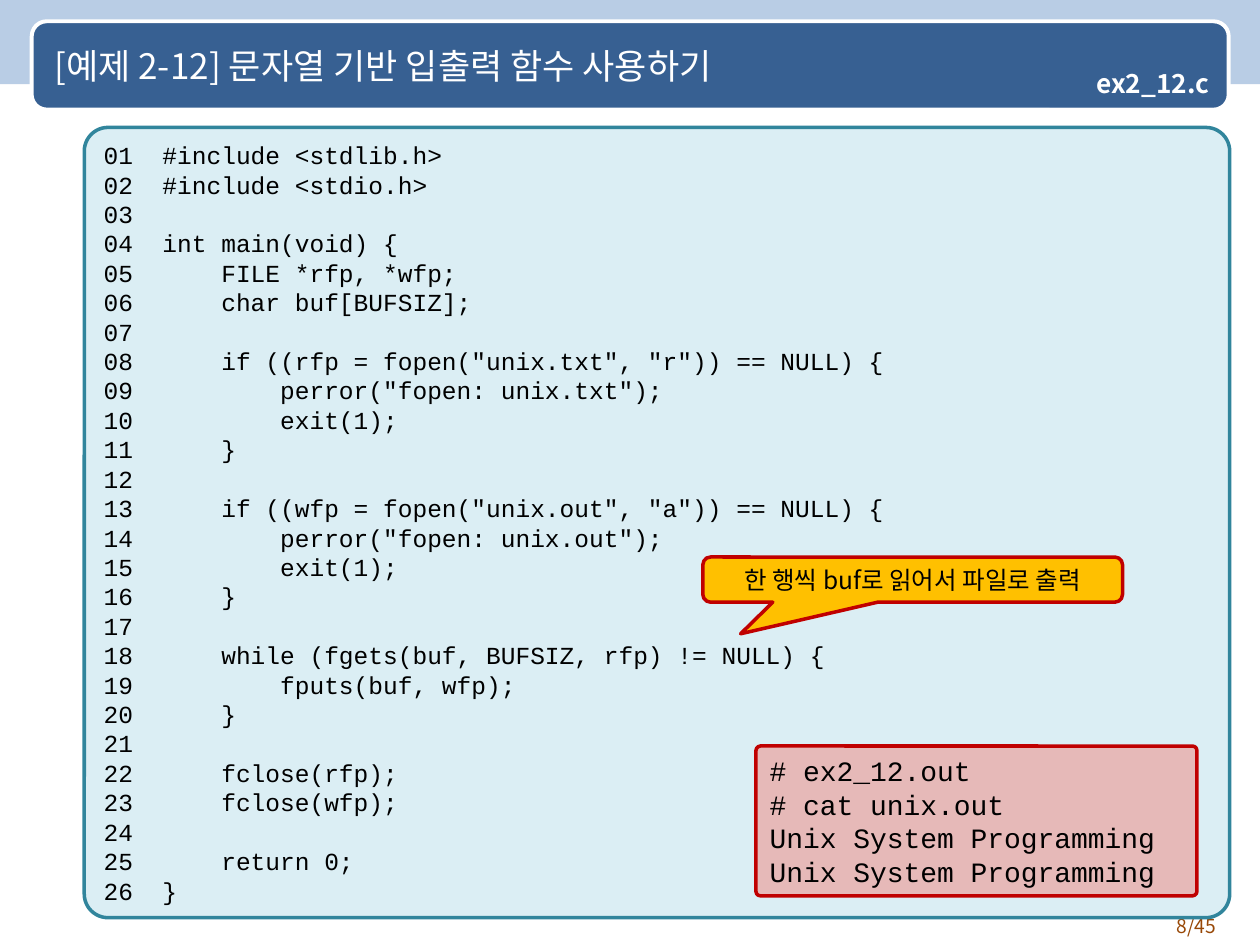
import pptx
import pptx.util
import pptx.dml.color
import pptx.enum.shapes
import pptx.enum.text
import pptx.oxml.ns
import lxml.etree

Cm, Pt = pptx.util.Cm, pptx.util.Pt
RGB = pptx.dml.color.RGBColor
KIND = pptx.enum.shapes.MSO_SHAPE
ALIGN = pptx.enum.text.PP_ALIGN
ANCHOR = pptx.enum.text.MSO_ANCHOR
qn = pptx.oxml.ns.qn

SKY = RGB(0xB9, 0xCD, 0xE5)
NAVY = RGB(0x37, 0x60, 0x92)
WHITE = RGB(0xFF, 0xFF, 0xFF)
BLACK = RGB(0, 0, 0)
BROWN = RGB(0x98, 0x48, 0x07)
ICE = RGB(0xDB, 0xEE, 0xF4)
TEAL = RGB(0x31, 0x85, 0x9C)
PINK = RGB(0xE6, 0xB9, 0xB8)
RED = RGB(0xC0, 0, 0)
GOLD = RGB(0xFF, 0xC0, 0)

SANS, MONO = "Noto Sans CJK KR", "Courier New"

CODE = """#include <stdlib.h>
#include <stdio.h>

int main(void) {
    FILE *rfp, *wfp;
    char buf[BUFSIZ];

    if ((rfp = fopen("unix.txt", "r")) == NULL) {
        perror("fopen: unix.txt");
        exit(1);
    }

    if ((wfp = fopen("unix.out", "a")) == NULL) {
        perror("fopen: unix.out");
        exit(1);
    }

    while (fgets(buf, BUFSIZ, rfp) != NULL) {
        fputs(buf, wfp);
    }

    fclose(rfp);
    fclose(wfp);

    return 0;
}"""

OUTPUT = ["# ex2_12.out", "# cat unix.out"] + ["Unix System Programming"] * 2


class Deck:
    def __init__(self):
        self.prs = pptx.Presentation()
        self.prs.slide_width, self.prs.slide_height = Cm(25.4), Cm(19.05)
        self.slide = self.prs.slides.add_slide(self.prs.slide_layouts[5])

    def shape(self, kind, box, fill, line=None, width=2, adj=()):
        item = self.slide.shapes.add_shape(kind, *map(Cm, box))
        item.shadow.inherit = False
        item.fill.solid()
        item.fill.fore_color.rgb = fill
        if line is None:
            item.line.fill.background()
        else:
            item.line.color.rgb = line
            item.line.width = Pt(width)
        for i, value in enumerate(adj):
            item.adjustments[i] = value
        return item

    def text(self, item, lines, size, color=BLACK, face=SANS,
             align=ALIGN.LEFT, anchor=ANCHOR.MIDDLE):
        frame = item.text_frame
        frame.word_wrap = True
        frame.auto_size = pptx.enum.text.MSO_AUTO_SIZE.NONE
        frame.vertical_anchor = anchor
        frame.text = "\n".join(lines)
        for para in frame.paragraphs:
            para.alignment = align
            para.font.size = Pt(size)
            para.font.name = face
            para.font.color.rgb = color
            # East Asian glyphs take the same face
            base = para._p.pPr.find(qn("a:defRPr"))
            lxml.etree.SubElement(base, qn("a:ea"), typeface=face)
        return frame

    def title(self, box, text):
        item = self.slide.shapes.title
        item.left, item.top, item.width, item.height = map(Cm, box)
        self.slide.shapes._spTree.append(item._element)  # above the bar
        self.text(item, [text], 20, WHITE)

    def label(self, box, text, size, color, align):
        item = self.slide.shapes.add_textbox(*map(Cm, box))
        self.text(item, [text], size, color, align=align, anchor=ANCHOR.TOP)

    def save(self):
        self.prs.save("out.pptx")


def main():
    deck = Deck()

    # Header and page number
    deck.shape(KIND.RECTANGLE, (-0.03, 0, 25.45, 1.7), SKY)
    deck.shape(KIND.ROUNDED_RECTANGLE, (0.64, 0.43, 24.13, 1.78),
               NAVY, WHITE, 2.25, [0.17])
    deck.label((22.66, 18.31, 2.11, 0.74), "8/45", 11, BROWN, ALIGN.RIGHT)
    deck.title((0.84, 0.48, 23.5, 1.7),
               "[예제 2-12] 문자열 기반 입출력 함수 사용하기")

    # Numbered code listing
    panel = deck.shape(KIND.ROUNDED_RECTANGLE, (1.7, 2.57, 23.09, 15.93),
                       ICE, TEAL, adj=[0.03])
    rows = [f"{n:02}  {row}" for n, row in enumerate(CODE.split("\n"), 1)]
    frame = deck.text(panel, rows, 14, face=MONO, align=ALIGN.JUSTIFY)
    for para in frame.paragraphs:
        props = para._p.get_or_add_pPr()
        props.set("marL", str(Cm(0.95)))
        props.set("indent", str(-Cm(0.95)))

    # File name
    tag = deck.shape(KIND.RECTANGLE, (21.16, 1.27, 3.38, 0.89), NAVY)
    frame = deck.text(tag, ["ex2_12.c"], 15, WHITE, align=ALIGN.RIGHT)
    frame.margin_left = frame.margin_right = Cm(0.16)
    frame.margin_top = frame.margin_bottom = Cm(0.16)
    para = frame.paragraphs[0]
    para.font.bold = True
    para.line_spacing = 0.9
    para.space_after = Pt(6.5)

    # Program output
    panel = deck.shape(KIND.ROUNDED_RECTANGLE, (15.24, 15.04, 8.89, 3.02),
                       PINK, RED, adj=[0.03])
    deck.text(panel, OUTPUT, 16, face=MONO, align=ALIGN.JUSTIFY)

    # Callout on the loop
    note = deck.shape(KIND.ROUNDED_RECTANGULAR_CALLOUT,
                      (14.17, 11.23, 8.46, 0.91), GOLD, RED,
                      adj=[-0.41, 1.2, 0.17])
    deck.text(note, ["한 행씩 buf로 읽어서 파일로 출력"], 14,
              align=ALIGN.CENTER)

    deck.save()


if __name__ == "__main__":
    main()
